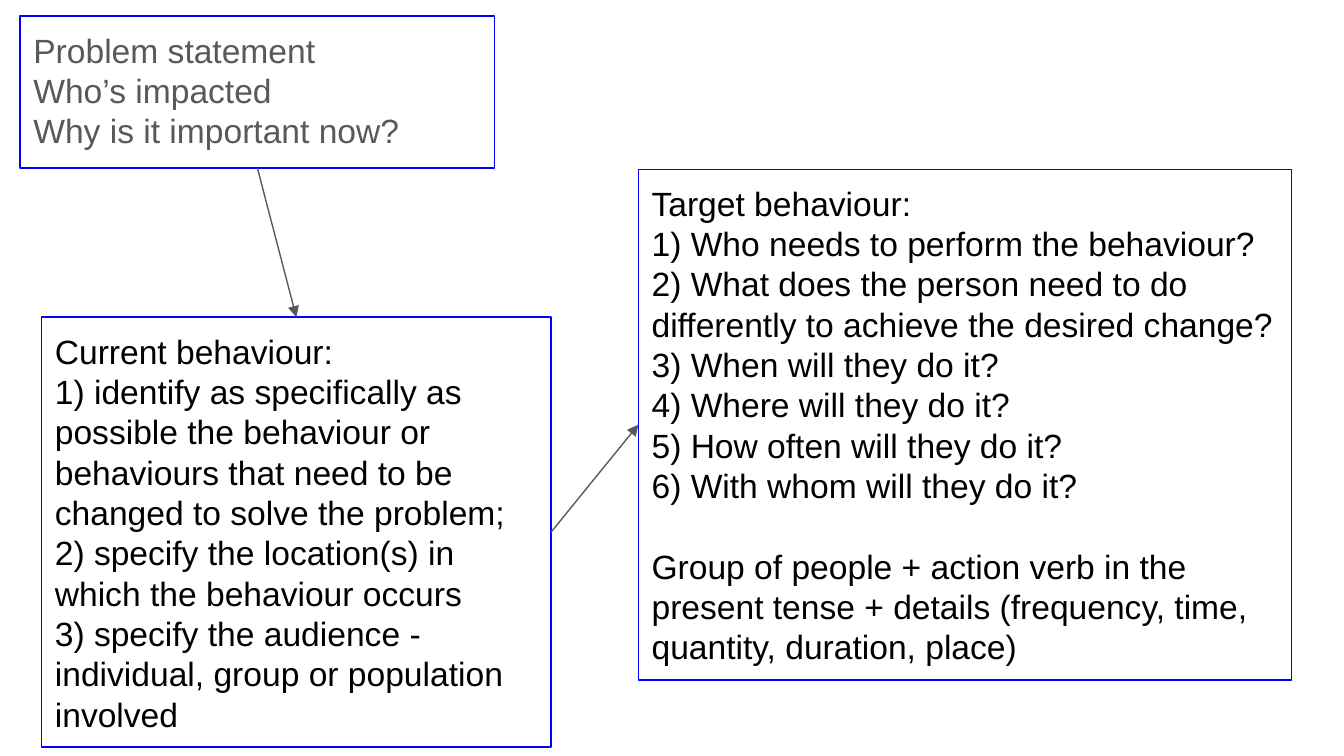
from lxml import etree
from pptx import Presentation
from pptx.dml.color import RGBColor
from pptx.enum.shapes import MSO_CONNECTOR, MSO_SHAPE
from pptx.enum.text import MSO_ANCHOR, MSO_AUTO_SIZE, PP_ALIGN
from pptx.oxml.ns import qn
from pptx.util import Inches, Pt

RECTANGLE = MSO_SHAPE.RECTANGLE
STRAIGHT = MSO_CONNECTOR.STRAIGHT
TOP = MSO_ANCHOR.TOP
LEFT = PP_ALIGN.LEFT
FIT_SHAPE = MSO_AUTO_SIZE.SHAPE_TO_FIT_TEXT
NO_FIT = MSO_AUTO_SIZE.NONE

BLACK, GREY, BLUE = "000000", "595959", "0000FF"
LINE_WIDTH = Pt(0.75)
# Connection sites of a rectangle
SITE_TOP, SITE_LEFT, SITE_BOTTOM, SITE_RIGHT = range(4)

PROBLEM = ["Problem statement", "Who’s impacted", "Why is it important now?"]
CURRENT = [
    "Current behaviour:",
    "1) identify as specifically as possible the behaviour or behaviours "
    "that need to be changed to solve the problem;",
    "2) specify the location(s) in which the behaviour occurs",
    "3) specify the audience - individual, group or population involved",
]
TARGET = [
    "Target behaviour:",
    "1) Who needs to perform the behaviour?",
    "2) What does the person need to do differently to achieve the desired change?",
    "3) When will they do it?",
    "4) Where will they do it?",
    "5) How often will they do it?",
    "6) With whom will they do it?",
    "Group of people + action verb in the present tense + details "
    "(frequency, time, quantity, duration, place)",
]


def rgb(value):
    return RGBColor.from_string(value)


def write_paragraph(paragraph, text, size=18, color=BLACK, font="Arial", before=0):
    paragraph.alignment = LEFT
    paragraph.space_before = Pt(before)
    run = paragraph.add_run()
    run.text = text
    run.font.size = Pt(size)
    run.font.name = font
    run.font.color.rgb = rgb(color)


def add_box(slide, left, top, width, height, lines, color=BLACK, fit=FIT_SHAPE,
            last_gap=0):
    """Outlined box; last_gap is the space in points above its last paragraph."""
    box = slide.shapes.add_shape(
        RECTANGLE, Inches(left), Inches(top), Inches(width), Inches(height))
    box.shadow.inherit = False
    box.fill.background()
    box.line.color.rgb = rgb(BLUE)
    box.line.width = LINE_WIDTH

    frame = box.text_frame
    frame.word_wrap = True
    frame.auto_size = fit
    frame.vertical_anchor = TOP
    frame.margin_left = frame.margin_right = Inches(0.1)
    frame.margin_top = frame.margin_bottom = Inches(0.1)
    for index, text in enumerate(lines):
        paragraph = frame.add_paragraph() if index else frame.paragraphs[0]
        gap = last_gap if index == len(lines) - 1 else 0
        write_paragraph(paragraph, text, color=color, before=gap)
    return box


def add_arrow(slide, source, source_site, target, target_site):
    arrow = slide.shapes.add_connector(STRAIGHT, 0, 0, 0, 0)
    arrow.begin_connect(source, source_site)
    arrow.end_connect(target, target_site)
    arrow.line.color.rgb = rgb(GREY)
    arrow.line.width = LINE_WIDTH
    # Arrowhead, and no shadow
    properties = arrow._element.spPr
    etree.SubElement(properties.find(qn("a:ln")), qn("a:tailEnd"), type="triangle")
    etree.SubElement(properties, qn("a:effectLst"))


def main():
    # Widescreen slide, 16:9
    prs = Presentation()
    prs.slide_width = Inches(10)
    prs.slide_height = Inches(10 * 9 / 16)
    slide = prs.slides.add_slide(prs.slide_layouts[6])

    # Boxes
    target = add_box(slide, 4.75, 1.26, 4.86, 3.8, TARGET, last_gap=21.6)
    current = add_box(slide, 0.31, 2.36, 3.79, 3.2, CURRENT)
    problem = add_box(slide, 0.15, 0.12, 3.53, 1.13, PROBLEM, color=GREY, fit=NO_FIT)

    # Flow from the problem to the target
    add_arrow(slide, problem, SITE_BOTTOM, current, SITE_TOP)
    add_arrow(slide, current, SITE_RIGHT, target, SITE_LEFT)

    prs.save("out.pptx")


if __name__ == "__main__":
    main()
